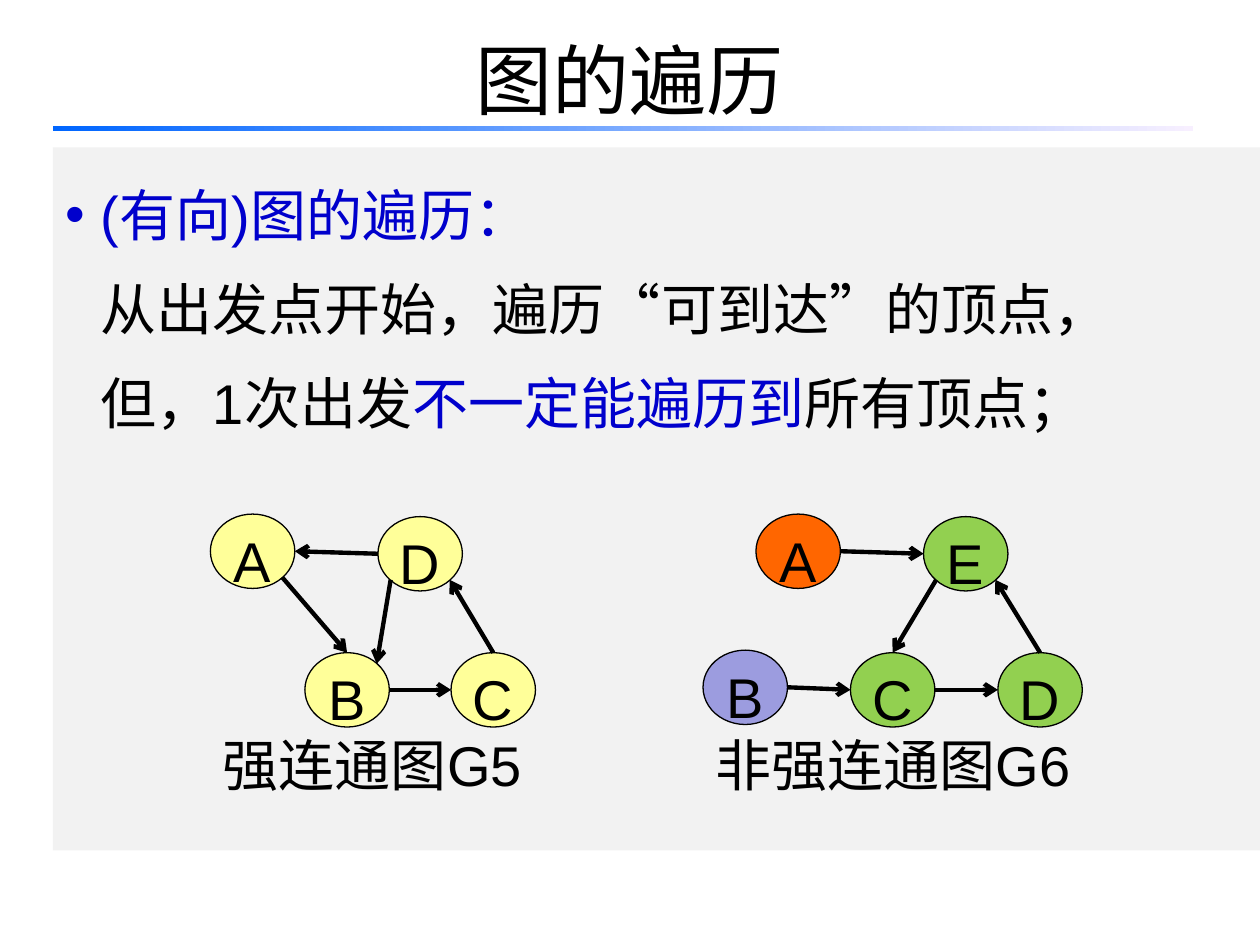
import pptx
import pptx.util
import pptx.dml.color
import pptx.enum.shapes
import pptx.enum.text
import pptx.oxml.ns
import lxml.etree

Inches = pptx.util.Inches
Pt = pptx.util.Pt
qn = pptx.oxml.ns.qn
SHAPE = pptx.enum.shapes.MSO_SHAPE
ALIGN = pptx.enum.text.PP_ALIGN
ANCHOR = pptx.enum.text.MSO_ANCHOR


def color(value):
    return pptx.dml.color.RGBColor.from_string(value)


def add_span(para, text, fill="000000", size=32):
    span = para.add_run()
    span.text = text
    span.font.name = "Arial"
    span.font.size = Pt(size)
    span.font.color.rgb = color(fill)


deck = pptx.Presentation()
deck.slide_width, deck.slide_height = Inches(10), Inches(7.5)
page = deck.slides.add_slide(deck.slide_layouts[1])

# Title
title = page.shapes.title
title.left, title.top, title.width, title.height = Inches(0.5), Inches(0), Inches(9), Inches(1.25)
title.text_frame.vertical_anchor = ANCHOR.MIDDLE
title_para = title.text_frame.paragraphs[0]
title_para.alignment = ALIGN.CENTER
add_span(title_para, "图的遍历", size=44)

# Body panel
body = page.placeholders[1]
body.left, body.top, body.width, body.height = Inches(0.42), Inches(1.17), Inches(9.58), Inches(5.58)
body.fill.solid()
body.fill.fore_color.rgb = color("F2F2F2")
body.text_frame.auto_size = pptx.enum.text.MSO_AUTO_SIZE.NONE
body_lines = [
    [("(有向)图的遍历：", "0000CC")],
    [("从出发点开始，遍历“可到达”的顶点，", "000000")],
    [("但，1次出发", "000000"), ("不一定能遍历到", "0000CC"), ("所有顶点；", "000000")],
]
for index, spans in enumerate(body_lines):
    para = body.text_frame.add_paragraph() if index else body.text_frame.paragraphs[0]
    para.line_spacing = 1.4
    para.space_before = Pt(0)
    properties = para._p.get_or_add_pPr()
    properties.set("marL", str(Inches(0.28)))
    properties.set("indent", str(0 if index else -Inches(0.28)))
    if index:
        lxml.etree.SubElement(properties, qn("a:buNone"))
    else:
        lxml.etree.SubElement(properties, qn("a:buChar")).set("char", "•")
    for text, fill in spans:
        add_span(para, text, fill)

# Gradient rule under the title
rule = page.shapes.add_shape(SHAPE.RECTANGLE, Inches(0.42), Inches(1), Inches(9.05), Inches(0.04))
rule.shadow.inherit = False
rule.line.fill.background()
rule.fill.gradient()
rule.fill.gradient_angle = 0
for stop, fill in zip(rule.fill.gradient_stops, ("0066FF", "F7EFFF")):
    stop.color.rgb = color(fill)

# Graphs: nodes are (left, top, fill); edges name a node and the side they touch
NODE_WIDTH, NODE_HEIGHT = 0.67, 0.59
SIDES = {
    "left": (0, 0.5), "right": (1, 0.5), "top": (0.5, 0),
    "top right": (0.85, 0.15), "bottom left": (0.15, 0.85), "bottom right": (0.85, 0.85),
}
strong_graph = {
    "nodes": {
        "A": (1.67, 4.08, "FFFF99"), "D": (3, 4.1, "FFFF99"),
        "B": (2.42, 5.18, "FFFF99"), "C": (3.58, 5.18, "FFFF99"),
    },
    "edges": [
        ("D", "left", "A", "right"), ("C", "top", "D", "bottom right"),
        ("A", "bottom right", "B", "top"), ("D", "bottom left", "B", "top right"),
        ("B", "right", "C", "left"),
    ],
    "caption": ("强连通图G5", 1.67, 3.25),
}
weak_graph = {
    "nodes": {
        "A": (6, 4.08, "FF6600"), "E": (7.33, 4.1, "92D050"), "C": (6.75, 5.18, "92D050"),
        "D": (7.92, 5.18, "92D050"), "B": (5.58, 5.16, "9C9CDF"),
    },
    "edges": [
        ("A", "right", "E", "left"), ("D", "top", "E", "bottom right"),
        ("E", "bottom left", "C", "top"), ("C", "right", "D", "left"),
        ("B", "right", "C", "left"),
    ],
    "caption": ("非强连通图G6", 5.58, 3.75),
}

for graph in (weak_graph, strong_graph):
    for name, (left, top, fill) in graph["nodes"].items():
        node = page.shapes.add_shape(
            SHAPE.OVAL, Inches(left), Inches(top), Inches(NODE_WIDTH), Inches(NODE_HEIGHT))
        node.shadow.inherit = False
        node.fill.solid()
        node.fill.fore_color.rgb = color(fill)
        node.line.color.rgb = color("000000")
        node.line.width = Pt(0.75)
        node.text_frame.word_wrap = False
        node.text_frame.vertical_anchor = ANCHOR.MIDDLE
        para = node.text_frame.paragraphs[0]
        para.alignment = ALIGN.CENTER
        para.line_spacing = 1.25
        add_span(para, name)

    for start, start_side, end, end_side in graph["edges"]:
        ends = []
        for name, side in ((start, start_side), (end, end_side)):
            left, top, fill = graph["nodes"][name]
            across, down = SIDES[side]
            ends += [Inches(left + across * NODE_WIDTH), Inches(top + down * NODE_HEIGHT)]
        edge = page.shapes.add_connector(pptx.enum.shapes.MSO_CONNECTOR.STRAIGHT, *ends)
        edge.line.color.rgb = color("000000")
        edge.line.width = Pt(2.5)
        lxml.etree.SubElement(edge.line._get_or_add_ln(), qn("a:tailEnd")).set("type", "arrow")
        lxml.etree.SubElement(edge._element.spPr, qn("a:effectLst"))

    text, left, width = graph["caption"]
    caption = page.shapes.add_textbox(Inches(left), Inches(5.75), Inches(width), Inches(0.77))
    caption.text_frame.word_wrap = True
    add_span(caption.text_frame.paragraphs[0], text)

deck.save("out.pptx")
